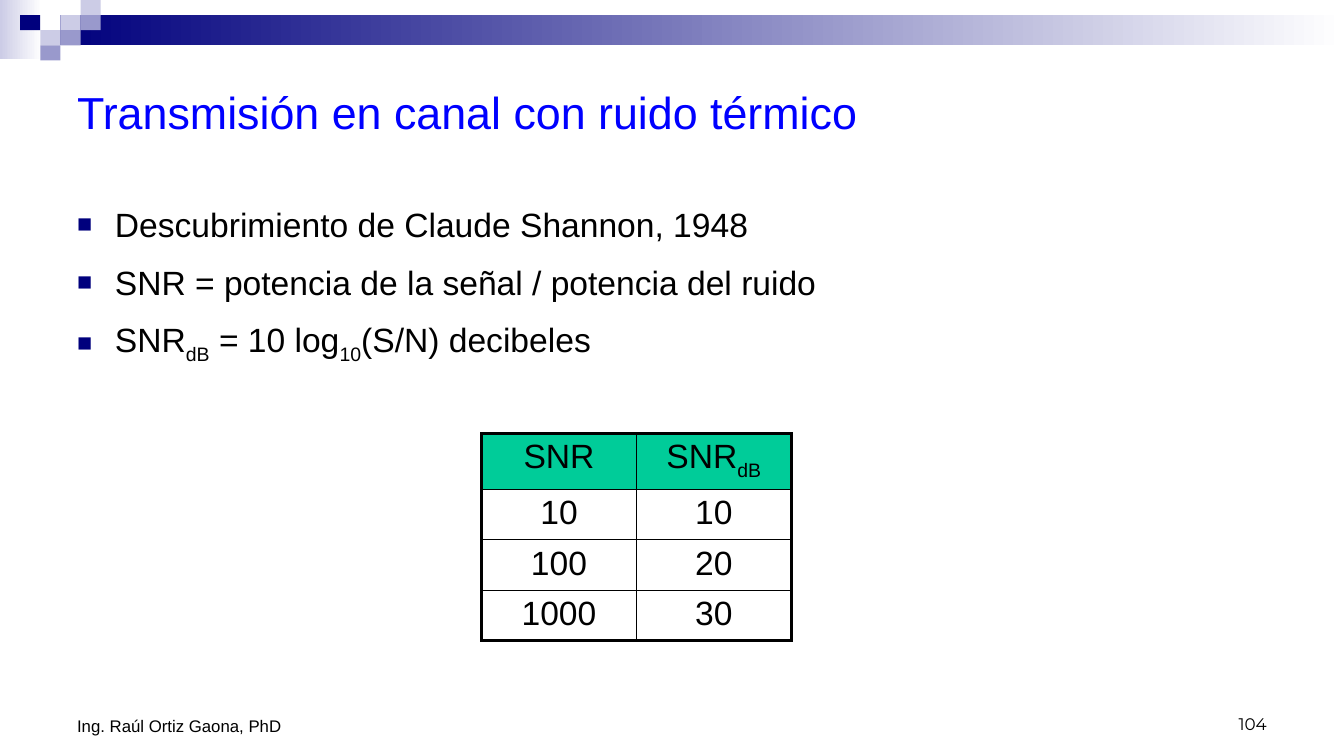
from lxml.etree import SubElement
from pptx import Presentation
from pptx.dml.color import RGBColor
from pptx.enum.shapes import MSO_SHAPE as Shape
from pptx.enum.text import MSO_ANCHOR as Anchor, PP_ALIGN as Align
from pptx.oxml.ns import qn
from pptx.util import Pt

COLORS = {
    "navy": "00007D", "lilac": "CCCCE6", "violet": "9999CC", "white": "FFFFFF",
    "black": "000000", "blue": "0000FF", "green": "00CC99",
}
SUBSCRIPT = -25000


def rgb(name):
    return RGBColor.from_string(COLORS[name])


def write(paragraph, pieces, size, color="black", face="Arial", **paragraph_format):
    """Pieces alternate between normal text and subscript."""
    for key, value in paragraph_format.items():
        setattr(paragraph, key, value)
    for i, piece in enumerate(pieces):
        run = paragraph.add_run()
        run.text = piece
        for key, value in {"size": Pt(size), "name": face}.items():
            setattr(run.font, key, value)
        run.font.color.rgb = rgb(color)
        if i % 2:
            run.font._element.set("baseline", str(SUBSCRIPT))


def text_frame(slide, box, anchor):
    frame = slide.shapes.add_textbox(*map(Pt, box)).text_frame
    for key, value in {"word_wrap": True, "vertical_anchor": anchor}.items():
        setattr(frame, key, value)
    return frame


def add_line(slide, box, text, size, anchor, **text_format):
    frame = text_frame(slide, box, anchor)
    write(frame.paragraphs[0], [text], size, **text_format)


def add_block(slide, box, color, fade_to=None):
    block = slide.shapes.add_shape(Shape.RECTANGLE, *map(Pt, box))
    block.shadow.inherit = False
    block.line.fill.background()
    if fade_to:
        block.fill.gradient()
        block.fill.gradient_angle = 0
        for stop, name in zip(block.fill.gradient_stops, (color, fade_to)):
            stop.color.rgb = rgb(name)
    else:
        block.fill.solid()
        block.fill.fore_color.rgb = rgb(color)


def add_banner(slide, box):
    left, top, width, height = box
    tile_w, tile_h = 14.4, height / 4
    # Fading bands
    add_block(slide, (left, top, 30, height - 1.2), "lilac", "white")
    bar_left = left + 3 * tile_w
    add_block(slide, (bar_left, top + tile_h, left + width - bar_left, 2 * tile_h),
              "navy", "white")
    # Checkered tiles: column, row, colour
    tiles = [(3, 1, "lilac"), (4, 0, "lilac"), (4, 1, "violet"), (2, 2, "lilac"),
             (1, 1, "navy"), (3, 2, "violet"), (2, 3, "violet")]
    for column, row, color in tiles:
        add_block(slide, (left + column * tile_w, top + row * tile_h, tile_w, tile_h), color)


def add_bullets(slide, box, items):
    frame = text_frame(slide, box, Anchor.TOP)
    frame.margin_top = Pt(5.5)
    for i, pieces in enumerate(items):
        paragraph = frame.paragraphs[0] if i == 0 else frame.add_paragraph()
        props = paragraph._p.get_or_add_pPr()
        props.set("marL", str(Pt(27)))
        props.set("indent", str(Pt(-27)))
        bullet_color = SubElement(props, qn("a:buClr"))
        SubElement(bullet_color, qn("a:srgbClr"), val=COLORS["navy"])
        SubElement(props, qn("a:buSzPct"), val="75000")
        SubElement(props, qn("a:buFont"), typeface="Arial")
        SubElement(props, qn("a:buChar"), char="■")
        write(paragraph, pieces, 24, alignment=Align.JUSTIFY,
              space_before=Pt(5.5 if i else 0), space_after=Pt(7))


def set_borders(cell, widths):
    props = cell._tc.get_or_add_tcPr()
    for i, (side, width) in enumerate(widths.items()):
        border = props.makeelement(qn(f"a:{side}"), {"w": str(Pt(width))})
        fill = SubElement(border, qn("a:solidFill"))
        SubElement(fill, qn("a:srgbClr"), val=COLORS["black"])
        props.insert(i, border)


def add_snr_table(slide, box, rows):
    last_row, last_column = len(rows) - 1, len(rows[0]) - 1
    frame = slide.shapes.add_table(len(rows), len(rows[0]), *map(Pt, box))
    for r, row in enumerate(rows):
        for c, pieces in enumerate(row):
            cell = frame.table.cell(r, c)
            cell.fill.solid()
            cell.fill.fore_color.rgb = rgb("white" if r else "green")
            write(cell.text_frame.paragraphs[0], pieces, 24, alignment=Align.CENTER)
            # Thick outline, thin inner lines
            outer = {"lnL": c == 0, "lnR": c == last_column,
                     "lnT": r == 0, "lnB": r == last_row}
            set_borders(cell, {side: 2.25 if edge else 1 for side, edge in outer.items()})


def main():
    deck = Presentation()
    deck.slide_width, deck.slide_height = Pt(960), Pt(540)
    slide = deck.slides.add_slide(deck.slide_layouts[6])

    add_banner(slide, (0, 0, 960, 43.2))
    # Footer
    add_line(slide, (688, 492, 224, 36), "104", 12, Anchor.BOTTOM,
             face="Montserrat", alignment=Align.RIGHT)
    add_line(slide, (48, 492, 224, 37.5), "Ing. Raúl Ortiz Gaona, PhD", 12, Anchor.BOTTOM)
    # Title and content
    add_line(slide, (48, 26, 864, 108), "Transmisión en canal con ruido térmico", 32,
             Anchor.MIDDLE, color="blue")
    add_bullets(slide, (48, 140, 864, 182), [
        ["Descubrimiento de Claude Shannon, 1948"],
        ["SNR = potencia de la señal / potencia del ruido"],
        ["SNR", "dB", " = 10 log", "10", "(S/N) decibeles"],
    ])
    add_snr_table(slide, (344, 309.6, 221.2, 129.6), [
        [["SNR"], ["SNR", "dB"]],
        [["10"], ["10"]],
        [["100"], ["20"]],
        [["1000"], ["30"]],
    ])
    deck.save("out.pptx")


if __name__ == "__main__":
    main()
